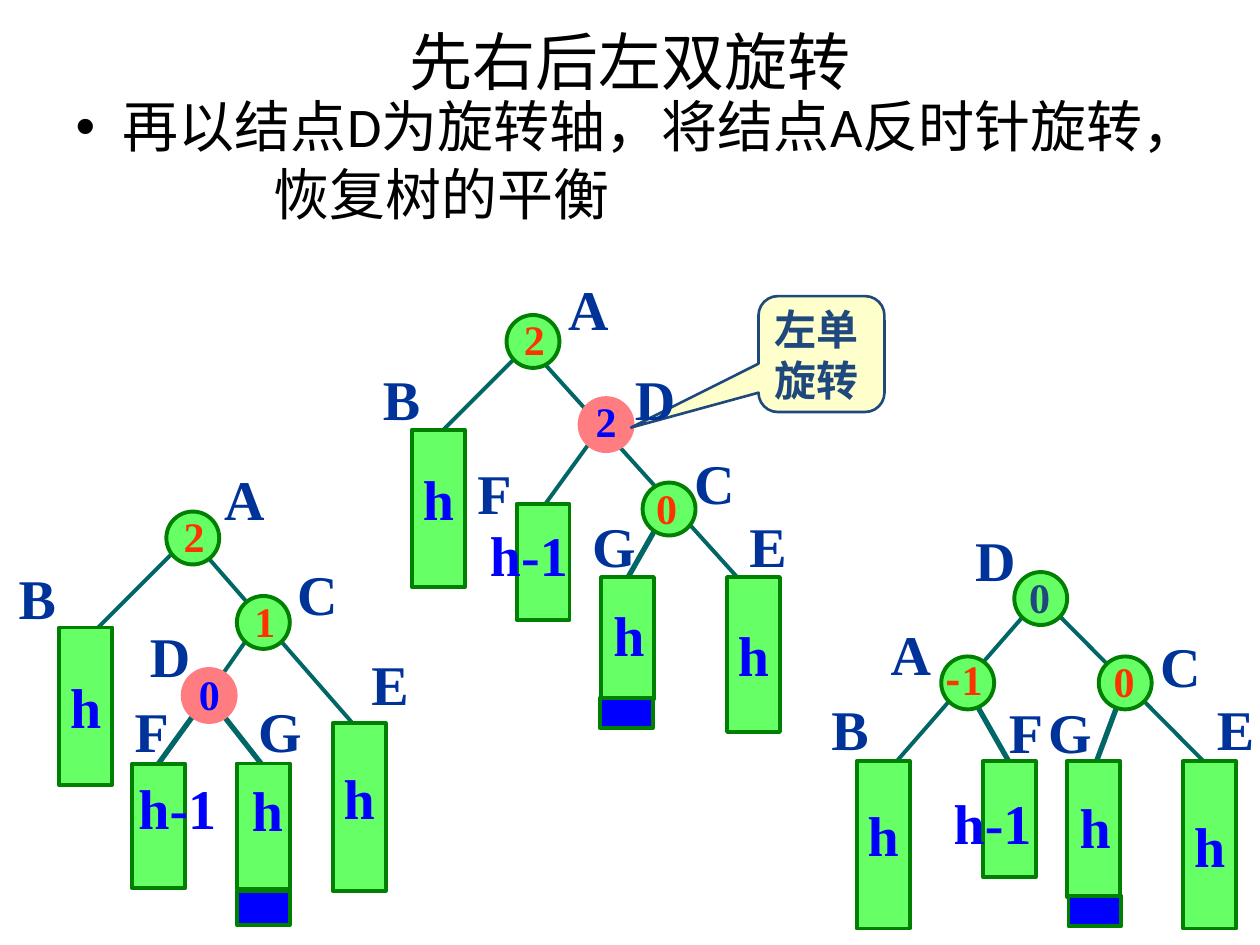
from dataclasses import dataclass

from lxml.etree import SubElement
from pptx import Presentation
from pptx.dml.color import RGBColor
from pptx.enum.dml import MSO_LINE
from pptx.enum.shapes import MSO_CONNECTOR, MSO_SHAPE
from pptx.enum.text import MSO_ANCHOR, MSO_AUTO_SIZE, PP_ALIGN
from pptx.oxml.ns import qn
from pptx.util import Inches, Pt


@dataclass(frozen=True)
class Theme:
    ink: str = "000000"
    navy: str = "003399"
    blue: str = "0000FF"
    red: str = "FF3300"
    slate: str = "1F497D"
    teal: str = "006666"
    green: str = "66FF66"
    edge: str = "008000"
    pink: str = "FF7C80"
    cream: str = "FFFFCC"
    sans: str = "Calibri"
    serif: str = "Times New Roman"
    asian: str = "Noto Sans CJK SC"
    head: int = 36
    big: int = 32
    small: int = 24
    thin: float = 2.25
    thick: float = 3


T = Theme()
SIDE = 0.42  # width of bars and nodes
WIDE = {"A": 0.52, "B": 0.5, "C": 0.52, "D": 0.52, "E": 0.5, "F": 0.47,
        "G": 0.55, "h": 0.45, "h-1": 0.82, "-1": 0.53}

# Edges: x1, y1, x2, y2, weight. Bars: x, y, height, text, line spacing.
# Caps: x, y, height. Nodes: x, y, fill, rim, then value, x, y, colour.
# Names and marks: text, x, y.
LEFT = {
    "edges": [(1.75, 5.65, 2.08, 6.07, T.thick), (1.62, 5.56, 1.2, 6.14, T.thick),
              (1.37, 4.39, 0.62, 5.14, T.thin), (1.62, 4.39, 2.79, 5.73, T.thin),
              (1.97, 5.06, 1.62, 5.56, T.thin)],
    "bars": [(0.47, 4.98, 1.25, "h", 1), (2.64, 5.74, 1.33, "h", 0.6),
             (1.05, 6.06, 0.99, "", 1), (1.88, 6.06, 1, "", 1)],
    "caps": [(1.88, 7.07, 0.27)],
    "nodes": [(1.88, 4.73, T.green, T.edge, "1", 1.92, 4.68, T.red),
              (1.32, 4.06, T.green, T.edge, "2", 1.36, 4, T.red),
              (1.45, 5.31, T.pink, T.pink, "0", 1.48, 5.26, T.blue)],
    "names": [("A", 1.68, 3.64), ("C", 2.26, 4.39), ("E", 2.85, 5.11), ("B", 0.05, 4.42),
              ("F", 0.97, 5.48), ("G", 1.95, 5.48), ("D", 1.09, 4.88)],
    "marks": [("h", 1.9, 6.11), ("h-1", 1, 6.09)],
}
MID = {
    "edges": [(5.27, 4.08, 4.94, 4.66, T.thick), (4.1, 2.83, 3.35, 3.58, T.thin),
              (4.27, 2.83, 5.85, 4.58, T.thin), (4.69, 3.5, 4.27, 4.08, T.thin)],
    "bars": [(5.77, 4.58, 1.23, "h", 1), (3.27, 3.41, 1.25, "h", 0.6),
             (4.77, 4.58, 0.97, "", 1), (4.1, 4, 0.92, "", 1)],
    "caps": [(4.76, 5.54, 0.24)],
    "nodes": [(4.6, 3.16, T.pink, T.pink, "2", 4.63, 3.09, T.blue),
              (4.02, 2.5, T.green, T.edge, "2", 4.06, 2.44, T.red),
              (5.1, 3.83, T.green, T.edge, "0", 5.11, 3.78, T.red)],
    "names": [("A", 4.41, 2.13), ("C", 5.41, 3.51), ("E", 5.85, 4.01), ("B", 2.94, 2.84),
              ("F", 3.69, 3.59), ("G", 4.6, 4.01), ("D", 4.94, 2.84)],
    "marks": [("h-1", 3.79, 4.08), ("h", 4.77, 4.72)],
}
RIGHT = {
    "edges": [(8.89, 5.54, 8.64, 6.21, T.thick), (8.39, 4.87, 9.55, 6.04, T.thin),
              (8.14, 4.87, 6.97, 6.21, T.thin), (7.72, 5.54, 8.05, 6.12, T.thick)],
    "bars": [(9.39, 6.04, 1.33, "h", 1), (6.8, 6.04, 1.33, "h", 0.6),
             (8.47, 6.04, 1.08, "", 1), (7.8, 6.04, 0.92, "", 1)],
    "caps": [(8.48, 7.11, 0.24)],
    "nodes": [(7.47, 5.21, T.green, T.edge, "-1", 7.41, 5.14, T.red),
              (8.05, 4.54, T.green, T.edge, "0", 8.07, 4.49, T.slate),
              (8.72, 5.21, T.green, T.edge, "0", 8.74, 5.15, T.red)],
    "names": [("A", 6.97, 4.87), ("C", 9.11, 4.96), ("E", 9.56, 5.46), ("D", 7.64, 4.12),
              ("B", 6.5, 5.46), ("F", 7.91, 5.49), ("G", 8.22, 5.49)],
    "marks": [("h-1", 7.47, 6.21), ("h", 8.47, 6.24)],
}


def tint(hue):
    return RGBColor.from_string(hue)


def add_run(para, text, size, hue, face=T.serif, bold=True):
    run = para.add_run()
    run.text = text
    font = run.font
    font.size, font.bold, font.name = Pt(size), bold, face
    font.color.rgb = tint(hue)
    SubElement(font._element, qn("a:ea"), typeface=T.asian)


def add_form(shapes, kind, box, fill, rim, width=T.thin):
    form = shapes.add_shape(kind, *map(Inches, box))
    form.shadow.inherit = False
    form.fill.solid()
    form.fill.fore_color.rgb = tint(fill)
    form.line.color.rgb = tint(rim)
    form.line.width = Pt(width)
    return form


def add_label(shapes, text, x, y, size, hue):
    high = 0.63 if size == T.big else 0.5
    box = shapes.add_textbox(*map(Inches, (x, y, WIDE.get(text, 0.37), high)))
    frame = box.text_frame
    frame.word_wrap, frame.auto_size = False, MSO_AUTO_SIZE.SHAPE_TO_FIT_TEXT
    para = frame.paragraphs[0]
    if text == "-1":
        add_run(para, "-", size, hue, T.asian)
        text = "1"
    add_run(para, text, size, hue)


def add_edge(shapes, x1, y1, x2, y2, width):
    line = shapes.add_connector(MSO_CONNECTOR.STRAIGHT, *map(Inches, (x1, y1, x2, y2)))
    line.line.color.rgb = tint(T.teal)
    line.line.width = Pt(width)
    SubElement(line._element.spPr, qn("a:effectLst"))


def add_bar(shapes, x, y, high, text, space):
    bar = add_form(shapes, MSO_SHAPE.RECTANGLE, (x, y, SIDE, high), T.green, T.edge)
    if text:
        frame = bar.text_frame
        frame.word_wrap, frame.vertical_anchor = False, MSO_ANCHOR.MIDDLE
        para = frame.paragraphs[0]
        para.alignment, para.line_spacing = PP_ALIGN.CENTER, space
        add_run(para, text, T.big, T.blue)


def add_node(shapes, x, y, fill, rim, text, tx, ty, hue):
    add_form(shapes, MSO_SHAPE.OVAL, (x, y, SIDE, SIDE), fill, rim)
    add_label(shapes, text, tx, ty, T.small, hue)


def add_call(shapes):
    call = add_form(shapes, MSO_SHAPE.ROUNDED_RECTANGULAR_CALLOUT,
                    (6.02, 2.35, 1, 0.92), T.cream, T.slate, 1.5)
    for i, value in enumerate((-1.512, 0.634, 0.167)):
        call.adjustments[i] = value
    frame = call.text_frame
    frame.word_wrap, frame.vertical_anchor = True, MSO_ANCHOR.MIDDLE
    frame.margin_left, frame.margin_right = Inches(0.08), Inches(0.1)
    frame.margin_top = frame.margin_bottom = 0
    for i, text in enumerate(("左单", "旋转")):
        para = frame.add_paragraph() if i else frame.paragraphs[0]
        para.alignment = PP_ALIGN.LEFT
        add_run(para, text, T.small, T.slate)


def add_tree(slide, tree, call=False):
    shapes = slide.shapes.add_group_shape().shapes
    for edge in tree["edges"]:
        add_edge(shapes, *edge)
    for bar in tree["bars"]:
        add_bar(shapes, *bar)
    for x, y, high in tree["caps"]:
        add_form(shapes, MSO_SHAPE.RECTANGLE, (x, y, SIDE, high), T.blue, T.edge)
    for node in tree["nodes"]:
        add_node(shapes, *node)
    if call:
        add_call(shapes)
    for part, hue in (("names", T.navy), ("marks", T.blue)):
        for item in tree[part]:
            add_label(shapes, *item, T.big, hue)


def add_curve(slide, knots, steps=8):
    # Sample each cubic piece, three knots past its start
    points = [knots[0]]
    for i in range(0, len(knots) - 1, 3):
        for t in (n / steps for n in range(1, steps + 1)):
            u = 1 - t
            mix = (u**3, 3 * u * u * t, 3 * u * t * t, t**3)
            points.append(tuple(sum(m * k[a] for m, k in zip(mix, knots[i:i + 4]))
                                for a in (0, 1)))
    form = slide.shapes.build_freeform(*points[0], scale=Inches(1))
    form.add_line_segments(points[1:], close=False)
    curve = form.convert_to_shape()
    curve.shadow.inherit = False
    curve.fill.background()
    line = curve.line
    line.color.rgb, line.width = tint(T.slate), Pt(T.thin)
    line.dash_style = MSO_LINE.ROUND_DOT
    SubElement(line._get_or_add_ln(), qn("a:tailEnd"), type="triangle")


def fill_holder(holder, box, text, size):
    holder.left, holder.top, holder.width, holder.height = map(Inches, box)
    para = holder.text_frame.paragraphs[0]
    para.space_before = Pt(0)
    add_run(para, text, size, T.ink, T.sans, False)
    return para


def main():
    deck = Presentation()
    deck.slide_width, deck.slide_height = Inches(10), Inches(7.5)
    slide = deck.slides.add_slide(deck.slide_layouts[1])

    # Title and body; a tab stop makes the gap in the second line
    fill_holder(slide.shapes.title, (0.5, -0.03, 9, 1.02), "先右后左双旋转", T.head)
    para = fill_holder(slide.placeholders[1], (0.5, 0.68, 9, 6.82),
                       "再以结点D为旋转轴，将结点A反时针旋转，\t恢复树的平衡", T.big)
    tabs = SubElement(para._p.get_or_add_pPr(), qn("a:tabLst"))
    SubElement(tabs, qn("a:tab"), pos=str(Inches(1.57)), algn="l")

    # Three stages of the rotation
    add_tree(slide, RIGHT)
    add_tree(slide, MID, call=True)
    add_tree(slide, LEFT)

    # Turning arrow under the middle root
    add_curve(slide, [(4.34, 3.31), (4.32, 3.23), (4.3, 3.16), (4.26, 3.11),
                      (4.23, 3.07), (4.18, 3.05), (4.14, 3.05), (4.09, 3.04),
                      (4.05, 3.04), (4.01, 3.08), (3.97, 3.12), (3.92, 3.25), (3.9, 3.28)])
    deck.save("out.pptx")


if __name__ == "__main__":
    main()
